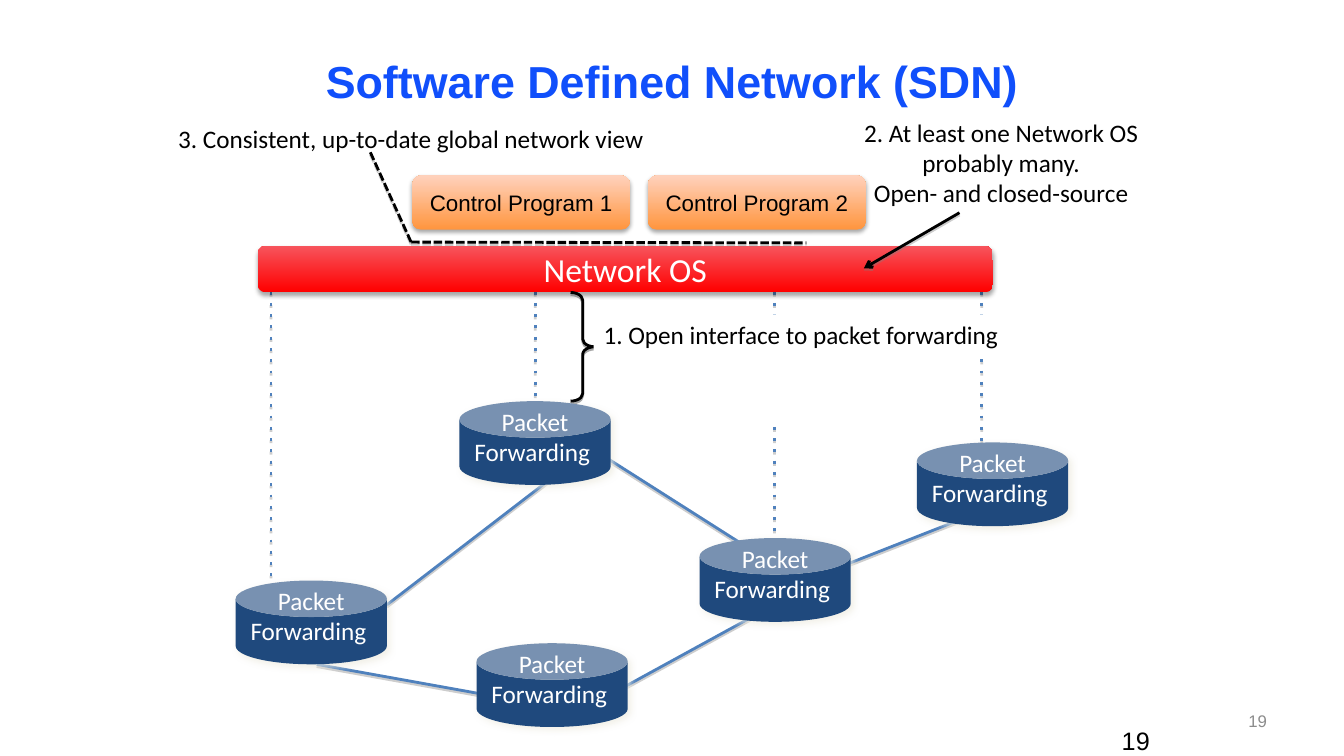
"""Builds the Software Defined Network (SDN) architecture slide."""
from lxml import etree
from pptx import Presentation
from pptx.dml.color import RGBColor
from pptx.enum.shapes import MSO_CONNECTOR, MSO_SHAPE
from pptx.enum.text import MSO_ANCHOR, PP_ALIGN
from pptx.oxml.ns import qn
from pptx.util import Cm, Pt

STRAIGHT = MSO_CONNECTOR.STRAIGHT
RECT, ROUNDED = MSO_SHAPE.RECTANGLE, MSO_SHAPE.ROUNDED_RECTANGLE
BRACE, CAN = MSO_SHAPE.RIGHT_BRACE, MSO_SHAPE.CAN
TOP, MIDDLE, BOTTOM = MSO_ANCHOR.TOP, MSO_ANCHOR.MIDDLE, MSO_ANCHOR.BOTTOM
LEFT, CENTER, RIGHT = PP_ALIGN.LEFT, PP_ALIGN.CENTER, PP_ALIGN.RIGHT

BLACK = RGBColor(0x00, 0x00, 0x00)
WHITE = RGBColor(0xFF, 0xFF, 0xFF)
TITLE_BLUE = RGBColor(0x10, 0x4F, 0xFB)
LINK_BLUE = RGBColor(0x4F, 0x81, 0xBD)
SWITCH_BLUE = RGBColor(0x1F, 0x49, 0x7D)
PAGE_GRAY = RGBColor(0x8C, 0x8C, 0x8C)
ORANGES = (RGBColor(0xFF, 0x95, 0x3E), RGBColor(0xFF, 0xD2, 0xBD))
REDS = (RGBColor(0xFF, 0x00, 0x00), RGBColor(0xF7, 0x54, 0x5C))

LINE_SHADOW = ("808080", 38, 0, 1.6, 90)
BRACE_SHADOW = ("808080", 69, 0, 1.6, 90)
BLOCK_SHADOW = ("000000", 35, 3.1, 1.8, 90)
SWITCH_SHADOW = ("EEECE1", 75, 5, 3, 45)

TITLE = "Software Defined Network (SDN)"
PAGE = "19"
PROGRAMS = [("Control Program 1", 10.39), ("Control Program 2", 16.33)]
NETWORK_OS = "Network OS"
OPEN_INTERFACE = "1. Open interface to packet forwarding"
MANY_OS = "2. At least one Network OS\nprobably many.\nOpen- and closed-source"
GLOBAL_VIEW = "3. Consistent, up-to-date global network view"
SWITCH = "Packet\nForwarding "
SWITCHES = [(5.94, 14.63), (12.01, 16.21), (11.58, 10.11), (17.63, 13.56), (23.11, 11.15)]
LINKS = [
    ((9.75, 15.24), (14.38, 11.68)),
    ((14.96, 11.33), (18.64, 13.67)),
    ((15.24, 17.58), (19.51, 15.24)),
    ((7.98, 16.74), (12.65, 17.58)),
    ((20.75, 14.45), (24.74, 12.88)),
]
CONTROL_TOP = 7.35
CONTROL_ENDS = [(6.83, 15.06), (13.49, 10.11), (19.52, 13.67), (24.74, 11.33)]
VIEW_CORNER = (10.36, 6.1)
VIEW_ENDS = [(20.32, 6.12), (9.32, 3.81)]


def write(shape, text, size=18, font="Calibri", color=BLACK, bold=False,
          align=LEFT, anchor=TOP, wrap=True, inset=(0.25, 0.13)):
    frame = shape.text_frame
    frame.word_wrap = wrap
    frame.vertical_anchor = anchor
    frame.margin_left = frame.margin_right = Cm(inset[0])
    frame.margin_top = frame.margin_bottom = Cm(inset[1])
    frame.text = text
    for paragraph in frame.paragraphs:
        paragraph.alignment = align
        for run in paragraph.runs:
            run.font.size = Pt(size)
            run.font.name = font
            run.font.bold = bold
            run.font.color.rgb = color


def add_shadow(effects, shadow):
    color, opacity, blur, distance, angle = shadow
    outer = etree.SubElement(
        effects, qn("a:outerShdw"), blurRad=str(Pt(blur)), dist=str(Pt(distance)),
        dir=str(angle * 60000), algn="ctr", rotWithShape="0")
    tone = etree.SubElement(outer, qn("a:srgbClr"), val=color)
    etree.SubElement(tone, qn("a:alpha"), val=str(opacity * 1000))


def add_line(slide, start, end, color, dash=None, arrow=False):
    line = slide.shapes.add_connector(STRAIGHT, *map(Cm, start + end))
    line.line.color.rgb = color
    line.line.width = Pt(2)
    properties = line._element.spPr
    outline = properties.find(qn("a:ln"))
    if dash:
        etree.SubElement(outline, qn("a:prstDash"), val=dash)
    if arrow:
        etree.SubElement(outline, qn("a:tailEnd"), type="arrow")
    add_shadow(etree.SubElement(properties, qn("a:effectLst")), LINE_SHADOW)


def add_block(slide, kind, box, fill=None, gradient=None, outline=None, shadow=None, adjust=()):
    block = slide.shapes.add_shape(kind, *map(Cm, box))
    for index, value in enumerate(adjust):
        block.adjustments[index] = value
    if gradient:
        block.fill.gradient()
        block.fill.gradient_angle = 90
        for stop, color in zip(block.fill.gradient_stops, gradient):
            stop.color.rgb = color
    elif fill is not None:
        block.fill.solid()
        block.fill.fore_color.rgb = fill
    else:
        block.fill.background()
    if outline is not None:
        block.line.color.rgb = outline
        block.line.width = Pt(2)
    else:
        block.line.fill.background()
    block.shadow.inherit = False
    if shadow:
        add_shadow(block._element.spPr.find(qn("a:effectLst")), shadow)
    return block


def add_label(slide, text, box, **text_format):
    write(slide.shapes.add_textbox(*map(Cm, box)), text, **text_format)


def main():
    deck = Presentation()
    deck.slide_width, deck.slide_height = Cm(33.87), Cm(19.05)
    slide = deck.slides.add_slide(deck.slide_layouts[6])

    for start, end in LINKS:
        add_line(slide, start, end, LINK_BLUE)
    for x, bottom in CONTROL_ENDS:
        add_line(slide, (x, CONTROL_TOP), (x, bottom), LINK_BLUE, dash="dot")

    for name, left in PROGRAMS:
        program = add_block(slide, ROUNDED, (left, 4.42, 5.49, 1.37),
                            gradient=ORANGES, shadow=BLOCK_SHADOW)
        write(program, name, size=16, font="Arial", align=CENTER, anchor=MIDDLE)
    network_os = add_block(slide, ROUNDED, (6.5, 6.2, 18.52, 1.17),
                           gradient=REDS, shadow=BLOCK_SHADOW)
    write(network_os, NETWORK_OS, size=24, color=WHITE, align=CENTER, anchor=MIDDLE)

    add_block(slide, BRACE, (14.38, 7.37, 0.61, 2.74), outline=BLACK,
              shadow=BRACE_SHADOW, adjust=(0.315, 0.5))
    interface = add_block(slide, RECT, (14.96, 7.92, 11.96, 1.02), fill=WHITE)
    write(interface, OPEN_INTERFACE)
    add_block(slide, RECT, (19.2, 8.89, 0.43, 1.85), fill=WHITE)

    for end in VIEW_ENDS:
        add_line(slide, VIEW_CORNER, end, BLACK, dash="sysDash")
    add_label(slide, GLOBAL_VIEW, (4.24, 2.97, 12.34, 1.02), wrap=False)
    add_label(slide, MANY_OS, (19.96, 2.82, 10.54, 2.57), align=CENTER)
    add_line(slide, (24.18, 5.36), (21.77, 6.76), BLACK, arrow=True)

    for left, top in SWITCHES:
        switch = add_block(slide, CAN, (left, top, 3.81, 2.11), fill=SWITCH_BLUE,
                           shadow=SWITCH_SHADOW, adjust=(0.436,))
        write(switch, SWITCH, color=WHITE, align=CENTER, anchor=BOTTOM,
              wrap=False, inset=(0.25, 0))

    add_label(slide, TITLE, (5.51, -0.61, 22.86, 5.26), size=32, font="Arial",
              color=TITLE_BLUE, bold=True, align=CENTER, anchor=MIDDLE)
    add_label(slide, PAGE, (28.27, 18.29, 0.84, 0.76), font="Arial", inset=(0, 0))
    add_label(slide, PAGE, (24.28, 17.65, 7.9, 1.02), size=12, font="Arial",
              color=PAGE_GRAY, align=RIGHT, anchor=MIDDLE)
    deck.save("out.pptx")


if __name__ == "__main__":
    main()
